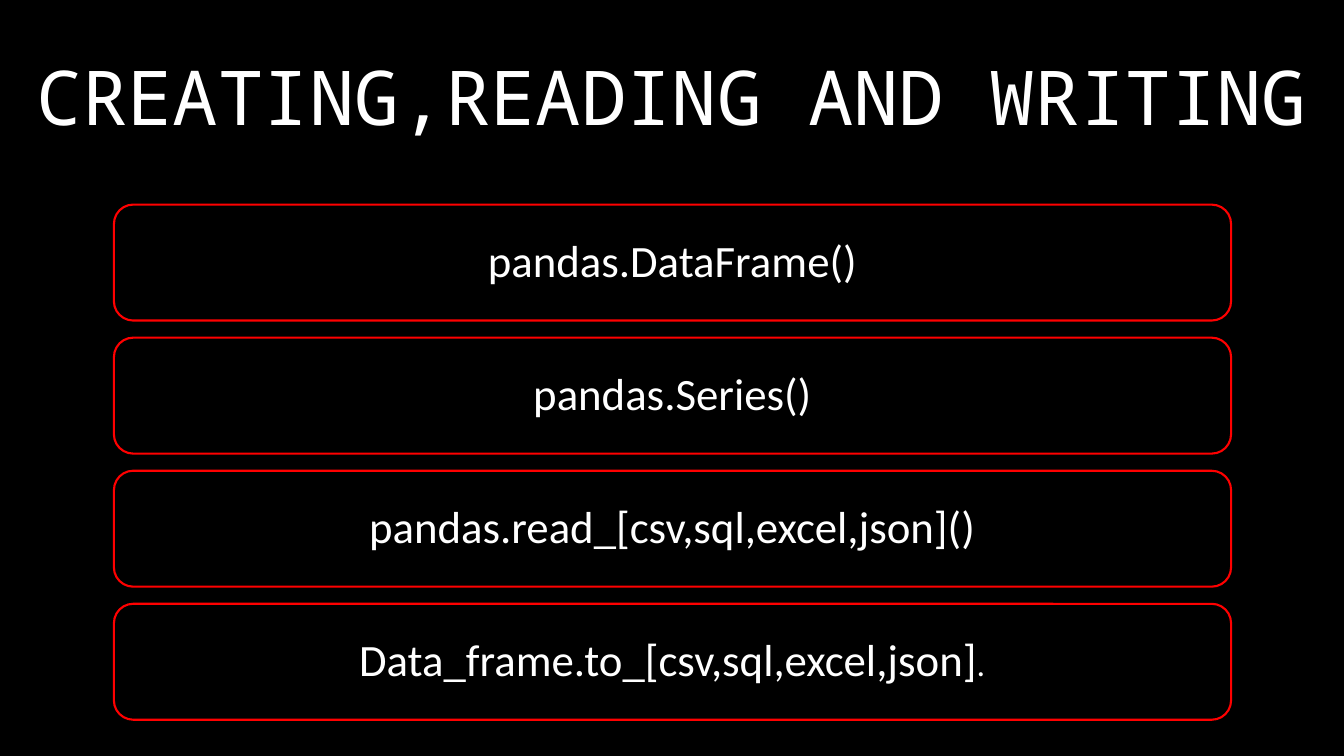
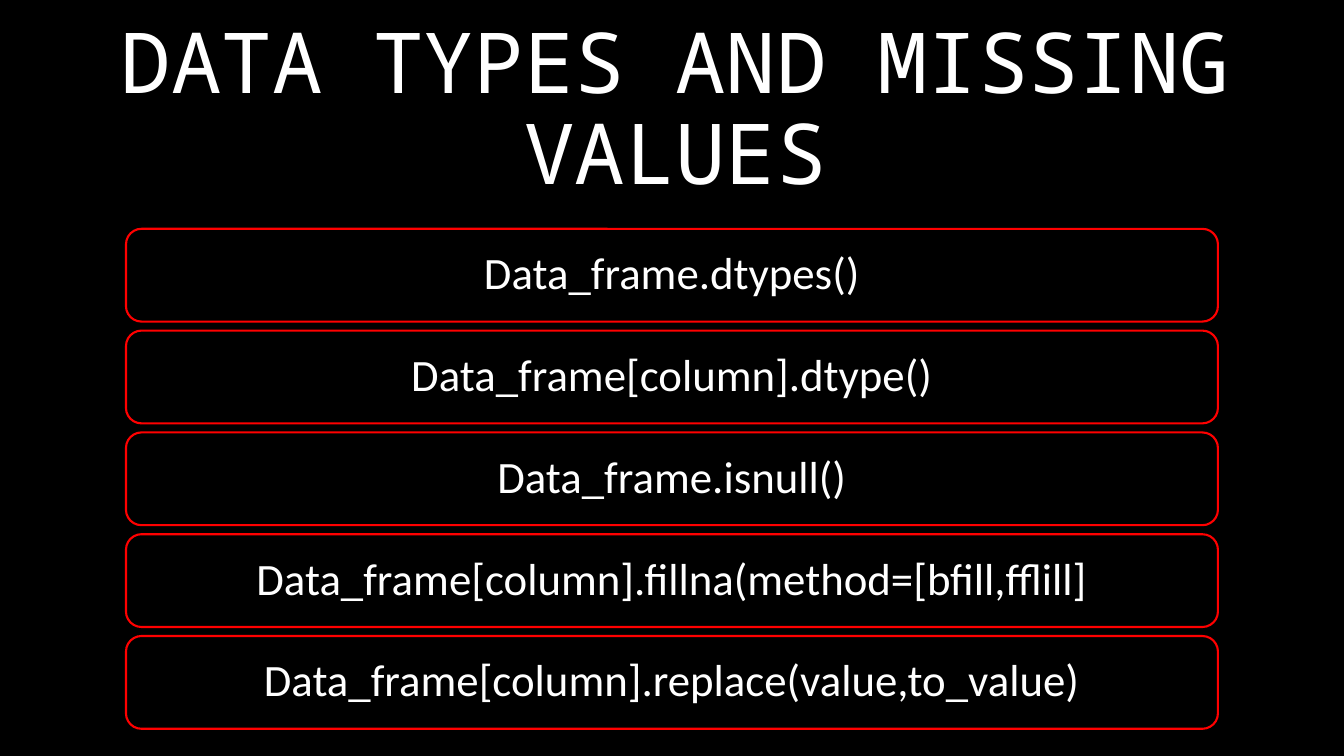
from pptx import Presentation
from pptx.dml.color import RGBColor
from pptx.enum import shapes, text
from pptx.util import Inches, Pt

# Shared style
BLACK, WHITE, RED = "000000", "FFFFFF", "FF0000"
TITLE_FONT, BODY_FONT = "Noto Sans Mono", "Calibri"
TITLE_ONLY = 5
CALL_SIZE = 32
FRAME_FORMAT = {
    "word_wrap": True,
    "auto_size": text.MSO_AUTO_SIZE.NONE,
    "vertical_anchor": text.MSO_ANCHOR.MIDDLE,
}
PARAGRAPH_FORMAT = {"alignment": text.PP_ALIGN.CENTER, "line_spacing": 0.9}
MARGINS = ("margin_left", "margin_top", "margin_right", "margin_bottom")

# Content: each call is a list of (text, font format) runs
CREATING = {
    "title": "CREATING,READING AND WRITING",
    "title_box": (0, 0.12, 13.33, 1.76),
    "title_size": 54,
    "first_box": (1.13, 2.03, 11.08, 1.15),
    "pitch": 1.32,
    "calls": [
        [("pandas.DataFrame()", {})],
        [("pandas.Series()", {})],
        [("pandas.read_[csv,sql,excel,json]()", {})],
        [("Data_frame.to_[csv,sql,excel,json]", {}),
         (".", {"size": Pt(24), "italic": True})],
    ],
}
MISSING = {
    "title": "DATA TYPES AND MISSING VALUES",
    "title_box": (0.36, 0.23, 12.68, 1.76),
    "title_size": 60,
    "first_box": (1.25, 2.27, 10.83, 0.92),
    "pitch": 1.01,
    "calls": [
        [("Data_frame.dtypes()", {})],
        [("Data_frame[column].dtype()", {})],
        [("Data_frame.isnull()", {})],
        [("Data_frame[column].fillna(method=[bfill,fflill]", {})],
        [("Data_frame[column].replace(value,to_value)", {})],
    ],
}


def color(hex_value):
    return RGBColor.from_string(hex_value)


def set_attributes(target, values):
    for name, value in values.items():
        setattr(target, name, value)


def write_runs(frame, runs, font, size):
    """Fill a text frame with one centred white paragraph."""
    set_attributes(frame, FRAME_FORMAT)
    paragraph = frame.paragraphs[0]
    set_attributes(paragraph, PARAGRAPH_FORMAT)
    for words, changes in runs:
        run = paragraph.add_run()
        run.text = words
        set_attributes(run.font, {"name": font, "size": Pt(size), **changes})
        run.font.color.rgb = color(WHITE)


def add_title(slide, words, box, size):
    title = slide.shapes.title
    sides = ("left", "top", "width", "height")
    set_attributes(title, dict(zip(sides, map(Inches, box))))
    write_runs(title.text_frame, [(words, {})], TITLE_FONT, size)


def add_call_box(slide, box, runs):
    """Add a red rounded outline holding one function call."""
    call_box = slide.shapes.add_shape(
        shapes.MSO_SHAPE.ROUNDED_RECTANGLE, *map(Inches, box))
    call_box.shadow.inherit = False
    call_box.fill.background()
    call_box.line.color.rgb = color(RED)
    call_box.line.width = Pt(1.5)
    set_attributes(call_box.text_frame, dict.fromkeys(MARGINS, Inches(0.13)))
    write_runs(call_box.text_frame, runs, BODY_FONT, CALL_SIZE)


def add_call_slide(deck, content):
    slide = deck.slides.add_slide(deck.slide_layouts[TITLE_ONLY])
    add_title(slide, content["title"], content["title_box"], content["title_size"])
    left, top, width, height = content["first_box"]
    for row, runs in enumerate(content["calls"]):
        add_call_box(slide, (left, top + row * content["pitch"], width, height), runs)


def main():
    deck = Presentation()
    deck.slide_width, deck.slide_height = Inches(13.33), Inches(7.5)
    # Black background for every slide
    background = deck.slide_master.background.fill
    background.solid()
    background.fore_color.rgb = color(BLACK)
    for content in (CREATING, MISSING):
        add_call_slide(deck, content)
    deck.save("out.pptx")


if __name__ == "__main__":
    main()
